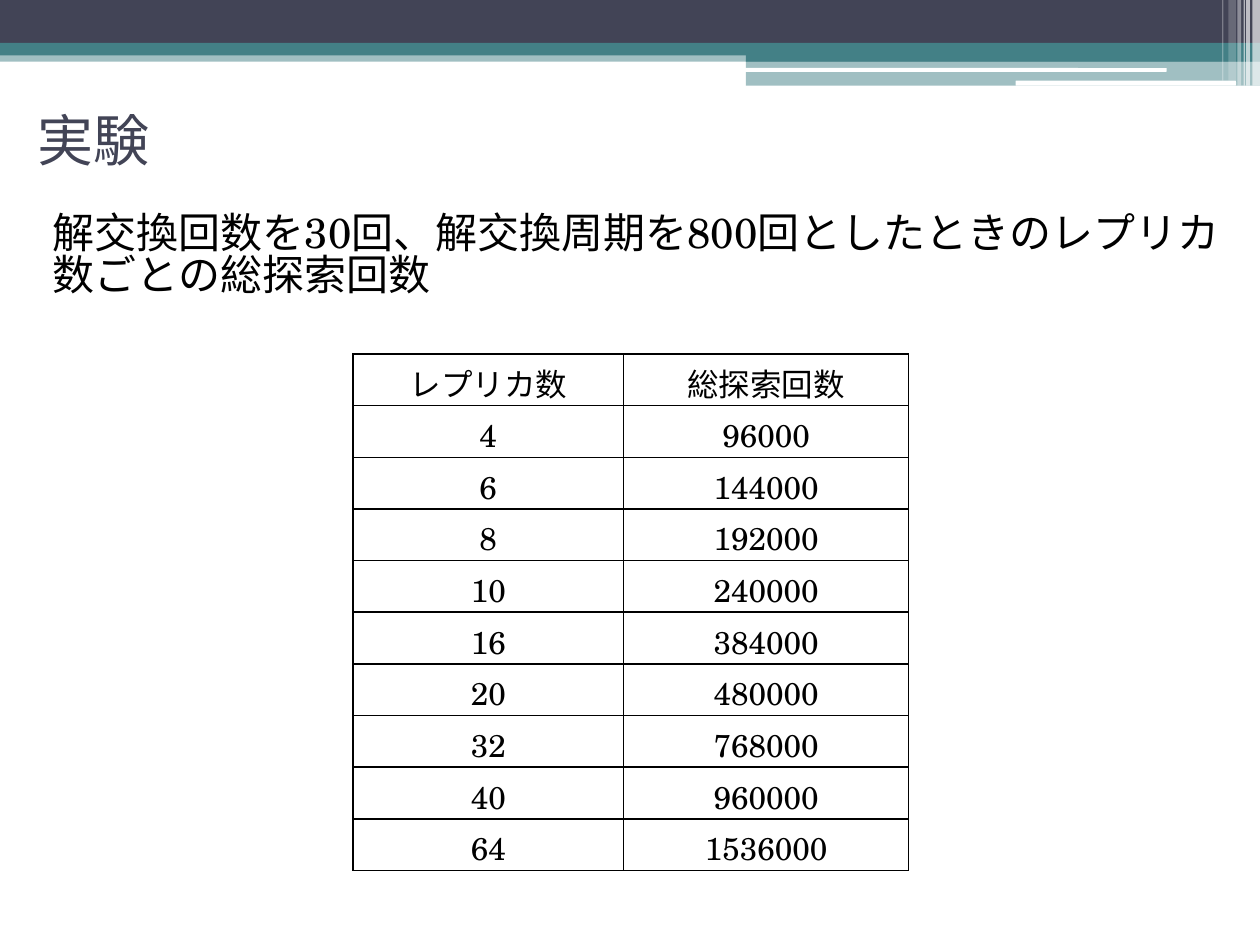
from lxml import etree
from pptx import Presentation
from pptx.dml.color import RGBColor
from pptx.enum.shapes import MSO_SHAPE
from pptx.enum.text import MSO_ANCHOR, PP_ALIGN
from pptx.oxml.ns import qn
from pptx.util import Inches, Pt

RECTANGLE = MSO_SHAPE.RECTANGLE
ROUNDED = MSO_SHAPE.ROUNDED_RECTANGLE
MIDDLE = MSO_ANCHOR.MIDDLE
LEFT = PP_ALIGN.LEFT
CENTER = PP_ALIGN.CENTER

NAVY = RGBColor(0x42, 0x44, 0x56)
TEAL = RGBColor(0x43, 0x80, 0x86)
WHITE = RGBColor(0xFF, 0xFF, 0xFF)
BLACK = RGBColor(0, 0, 0)

TITLE_FONT = "Lato"
BODY_FONT = "TeX Gyre Schola"
TITLE_ONLY = 5

BANDS = [
    (0, 0.4, 10, 0.09, TEAL, 50, RECTANGLE),
    (0, 0, 10, 0.34, NAVY, 100, RECTANGLE),
    (0, 0.34, 10, 0.1, TEAL, 100, RECTANGLE),
    (5.92, 0.39, 4.08, 0.1, TEAL, 100, RECTANGLE),
    (5.92, 0.48, 4.08, 0.2, TEAL, 50, RECTANGLE),
    (5.91, 0.54, 3.35, 0.03, WHITE, 100, ROUNDED),
    (8.06, 0.64, 1.75, 0.04, WHITE, 100, ROUNDED),
]
STRIPES = [
    (9.94, 0.06, 0.68, 65),
    (9.89, 0.03, 0.68, 65),
    (9.87, 0.01, 0.68, 60),
    (9.82, 0.03, 0.68, 40),
    (9.75, 0.06, 0.64, 20),
    (9.7, 0.01, 0.64, 30),
]
SEARCH_COUNTS = [
    ("レプリカ数", "総探索回数"),
    ("4", "96000"),
    ("6", "144000"),
    ("8", "192000"),
    ("10", "240000"),
    ("16", "384000"),
    ("20", "480000"),
    ("32", "768000"),
    ("40", "960000"),
    ("64", "1536000"),
]


class SlideBuilder:
    def __init__(self, slide):
        self.slide = slide

    def style(self, paragraph, font_name, size, color, alignment=LEFT):
        paragraph.alignment = alignment
        paragraph.font.name = font_name
        paragraph.font.size = Pt(size)
        paragraph.font.color.rgb = color

    def block(self, left, top, width, height, color, opacity=100, kind=RECTANGLE):
        shape = self.slide.shapes.add_shape(
            kind, Inches(left), Inches(top), Inches(width), Inches(height))
        shape.shadow.inherit = False
        shape.line.fill.background()
        shape.fill.solid()
        shape.fill.fore_color.rgb = color
        if opacity < 100:
            fill_color = shape.fill._xPr.find(".//" + qn("a:srgbClr"))
            etree.SubElement(fill_color, qn("a:alpha"), val=str(opacity * 1000))

    def title(self, text, left, top, width, height):
        shape = self.slide.shapes.title
        shape.left, shape.top = Inches(left), Inches(top)
        shape.width, shape.height = Inches(width), Inches(height)
        frame = shape.text_frame
        frame.text = text
        frame.vertical_anchor = MIDDLE
        self.style(frame.paragraphs[0], TITLE_FONT, 32, NAVY)

    def body(self, text, left, top, width, height):
        shape = self.slide.shapes.add_textbox(
            Inches(left), Inches(top), Inches(width), Inches(height))
        frame = shape.text_frame
        frame.word_wrap = True
        frame.text = text
        paragraph = frame.paragraphs[0]
        paragraph.line_spacing = 0.83
        paragraph._p.get_or_add_pPr().set("marL", str(Inches(0.12)))
        self.style(paragraph, BODY_FONT, 24, BLACK)

    def borders(self, cell):
        properties = cell._tc.get_or_add_tcPr()
        for index, side in enumerate(("a:lnL", "a:lnR", "a:lnT", "a:lnB")):
            line = etree.Element(qn(side), w=str(Pt(1)))
            fill = etree.SubElement(line, qn("a:solidFill"))
            etree.SubElement(fill, qn("a:srgbClr"), val=str(BLACK))
            properties.insert(index, line)

    def table(self, rows, left, top, column_widths, row_height):
        table = self.slide.shapes.add_table(
            len(rows), len(column_widths), Inches(left), Inches(top),
            Inches(sum(column_widths)), Inches(row_height * len(rows))).table
        table.first_row = False
        table.horz_banding = False
        for column, width in zip(table.columns, column_widths):
            column.width = Inches(width)
        for row, values in zip(table.rows, rows):
            row.height = Inches(row_height)
            for cell, value in zip(row.cells, values):
                cell.text = value
                cell.fill.background()
                self.borders(cell)
                self.style(cell.text_frame.paragraphs[0], BODY_FONT, 18, BLACK, CENTER)


def main():
    presentation = Presentation()
    presentation.slide_width = Inches(10)
    presentation.slide_height = Inches(7.5)
    slide = presentation.slides.add_slide(presentation.slide_layouts[TITLE_ONLY])
    builder = SlideBuilder(slide)

    for band in BANDS:
        builder.block(*band)
    for left, width, height, opacity in STRIPES:
        builder.block(left, 0, width, height, WHITE, opacity)

    builder.title("実験", 0.2, 0.52, 9, 1.17)
    builder.body("解交換回数を30回、解交換周期を800回としたときのレプリカ数ごとの総探索回数",
                 0.2, 1.66, 9.61, 5.84)
    builder.table(SEARCH_COUNTS, 2.8, 2.81, (2.15, 2.26), 0.41)

    presentation.save("out.pptx")


if __name__ == "__main__":
    main()
